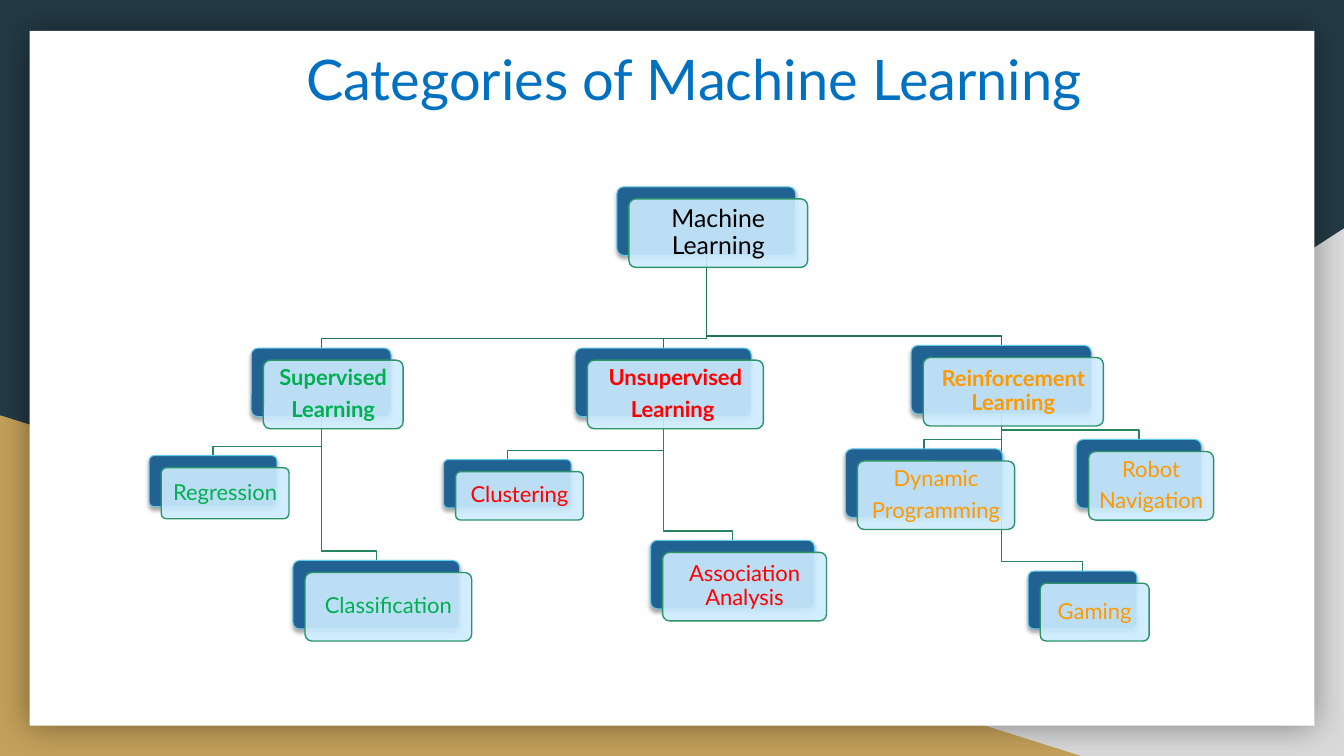
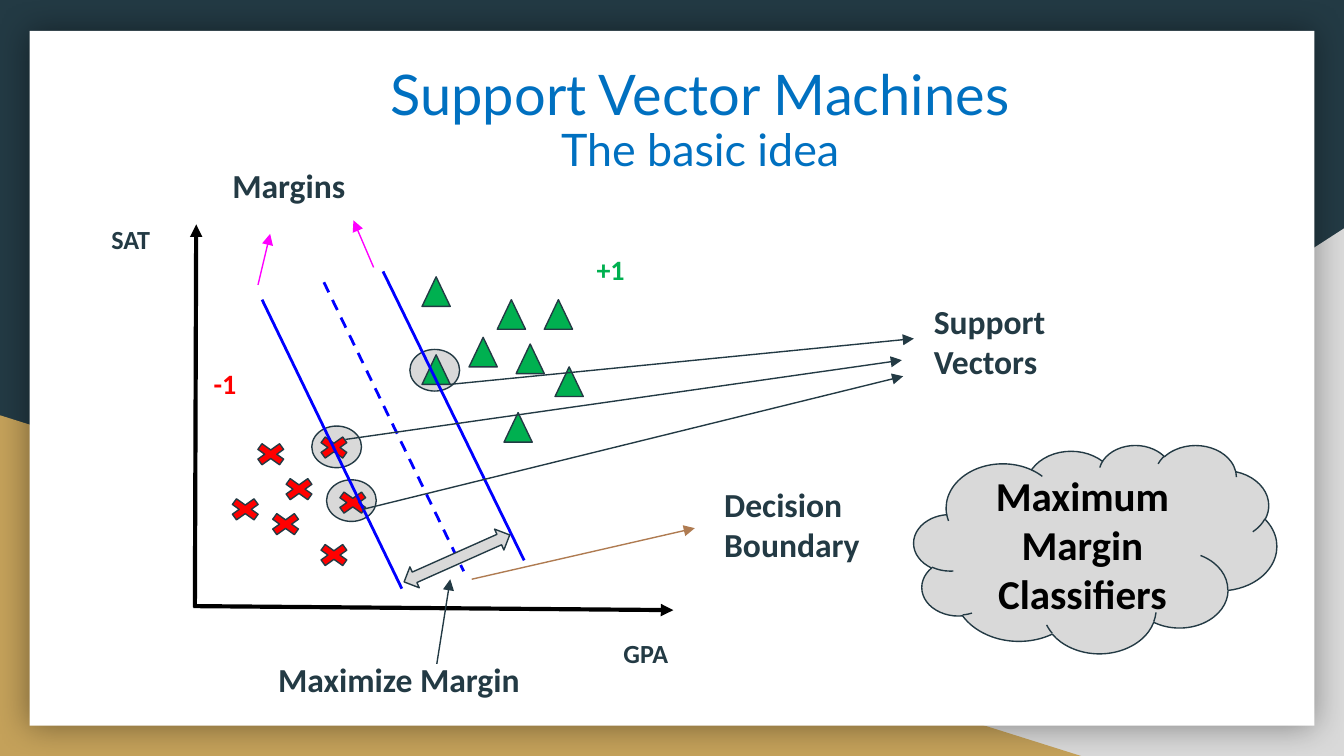
"""Build two machine learning slides: a category tree and the idea of support vector machines."""
from dataclasses import dataclass
from typing import Optional

from lxml.etree import SubElement
from pptx import Presentation
from pptx.dml.color import RGBColor
from pptx.enum.dml import MSO_LINE
from pptx.enum.shapes import MSO_CONNECTOR, MSO_SHAPE as Preset
from pptx.enum.text import MSO_ANCHOR as Anchor, MSO_AUTO_SIZE as AutoSize, PP_ALIGN as Align
from pptx.oxml.ns import qn
from pptx.shapes.autoshape import Shape
from pptx.slide import Slide, SlideMaster
from pptx.text.text import TextFrame
from pptx.util import Cm, Pt

INK = RGBColor(0x23, 0x3A, 0x44)
GREY = RGBColor(0xD9, 0xD9, 0xD9)
GOLD = RGBColor(0xC4, 0xA1, 0x5A)
WHITE = RGBColor(0xFF, 0xFF, 0xFF)
BLACK = RGBColor(0x00, 0x00, 0x00)
TITLE_BLUE = RGBColor(0x00, 0x70, 0xC0)
GREEN = RGBColor(0x00, 0xB0, 0x50)
RED = RGBColor(0xFF, 0x00, 0x00)
ORANGE = RGBColor(0xFF, 0x99, 0x00)
CARD_BLUE = RGBColor(0x22, 0x62, 0x92)
CARD_RIM = RGBColor(0x5F, 0xCB, 0xEF)
PANE = RGBColor(0xCC, 0xEC, 0xFF)
PANE_RIM = RGBColor(0x2B, 0x94, 0x68)
ROOT_BRANCH = RGBColor(0x23, 0x75, 0x52)
BRANCH = RGBColor(0x26, 0x85, 0x5D)
MARGIN_BLUE = RGBColor(0x00, 0x00, 0xFF)
MAGENTA = RGBColor(0xFF, 0x00, 0xFF)
BROWN = RGBColor(0xAF, 0x7B, 0x51)

HEADING_FONT, LABEL_FONT = "Lato", "Calibri"
CM_PER_INCH = 2.54
PANE_SHIFT = 0.09
BRANCH_DROP = 0.07

Box = tuple[float, float, float, float]
Point = tuple[float, float]


@dataclass(frozen=True)
class Category:
    """A card of the tree, with its place in inches."""
    paragraphs: tuple[str, ...]
    box: Box
    colour: RGBColor
    parent: Optional["Category"] = None
    bold: bool = False
    size: float = 11.8

    @property
    def top(self) -> Point:
        """Return the middle of the upper edge."""
        left, top, width, _ = self.box
        return left + width / 2, top

    @property
    def bottom(self) -> Point:
        """Return the middle of the lower edge."""
        return self.top[0], self.box[1] + self.box[3]


@dataclass(frozen=True)
class Stroke:
    """A straight line or arrow."""
    start: Point
    end: Point
    colour: RGBColor = INK
    width: float = 0.75
    arrow: bool = True
    dashed: bool = False


@dataclass(frozen=True)
class Label:
    """A bold caption in the diagram."""
    text: str
    box: Box
    size: float = 18
    colour: RGBColor = INK


ROOT = Category(("Machine Learning",), (4.59, 1.39, 1.33, 0.51), BLACK, size=13.3)
SUPERVISED = Category(("Supervised", "Learning"), (1.87, 2.59, 1.04, 0.51), GREEN, ROOT, True)
UNSUPERVISED = Category(("Unsupervised", "Learning "), (4.28, 2.59, 1.31, 0.51), RED, ROOT, True)
REINFORCEMENT = Category(("Reinforcement Learning",), (6.78, 2.57, 1.34, 0.51), ORANGE, ROOT, True)
CATEGORIES = (
    ROOT,
    SUPERVISED,
    Category(("Regression",), (1.11, 3.39, 0.95, 0.38), GREEN, SUPERVISED),
    Category(("Classification",), (2.18, 4.17, 1.24, 0.51), GREEN, SUPERVISED),
    UNSUPERVISED,
    Category(("Clustering",), (3.3, 3.42, 0.95, 0.36), RED, UNSUPERVISED),
    Category(("Association Analysis",), (4.84, 4.02, 1.22, 0.51), RED, UNSUPERVISED),
    REINFORCEMENT,
    Category(("Dynamic", "Programming"), (6.29, 3.34, 1.17, 0.51), ORANGE, REINFORCEMENT),
    Category(("Gaming",), (7.65, 4.25, 0.81, 0.43), ORANGE, REINFORCEMENT),
    Category(("Robot", "Navigation"), (8.01, 3.27, 0.93, 0.51), ORANGE, REINFORCEMENT),
)

SUPPORT_HALOS = ((2.43, 3.57), (2.32, 3.17), (3.05, 2.6))
NEGATIVES = ((1.67, 3.68), (1.97, 3.79), (2.33, 4.02), (2.07, 3.53),
             (1.86, 3.27), (2.47, 3.63), (2.33, 3.22))
POSITIVES = ((3.14, 2.06), (3.14, 2.64), (3.49, 2.51), (3.75, 3.07),
             (3.84, 2.56), (4.13, 2.73), (3.7, 2.23), (4.05, 2.23))
AXES = (
    Stroke((1.45, 4.52), (1.46, 1.67), BLACK, 2.25),
    Stroke((1.44, 4.51), (5.01, 4.54), BLACK, 2.25),
)
BOUNDARIES = (
    Stroke((1.95, 2.23), (2.99, 4.38), MARGIN_BLUE, 1.5, arrow=False),
    Stroke((2.85, 2.02), (3.9, 4.17), MARGIN_BLUE, 1.5, arrow=False),
    Stroke((2.41, 2.1), (3.45, 4.25), MARGIN_BLUE, 1.5, arrow=False, dashed=True),
)
POINTERS = (
    Stroke((1.92, 2.12), (2.01, 1.74), MAGENTA),
    Stroke((2.78, 1.99), (2.63, 1.64), MAGENTA),
    Stroke((3.51, 4.31), (5.17, 3.93), BROWN),
    Stroke((3.35, 2.86), (6.8, 2.52)),
    Stroke((2.57, 3.27), (6.71, 2.68)),
    Stroke((2.7, 3.79), (6.72, 2.8)),
    Stroke((3.25, 4.94), (3.35, 4.31)),
)
LABELS = (
    Label("GPA", (4.54, 4.64, 0.72, 0.44), 14),
    Label("SAT", (0.73, 1.56, 0.72, 0.44), 14),
    Label("+1", (4.34, 1.78, 0.65, 0.45), 15, GREEN),
    Label("-1", (1.49, 2.63, 0.65, 0.45), 15, RED),
    Label("Margins", (1.63, 1.13, 1.19, 0.5)),
    Label("Decision Boundary", (5.29, 3.5, 2.03, 0.81)),
    Label("Support Vectors", (6.85, 2.14, 1.47, 0.81)),
    Label("Maximize Margin", (1.97, 4.8, 2.28, 0.5)),
)


def length(inches: float) -> Cm:
    """Turn inches into a slide length."""
    return Cm(inches * CM_PER_INCH)


def place(box: Box) -> tuple[Cm, ...]:
    """Turn a box in inches into slide lengths."""
    return tuple(length(side) for side in box)


def set_insets(frame: TextFrame, across: float, down: float) -> None:
    """Set the side and the top and bottom insets in inches."""
    frame.margin_left = frame.margin_right = length(across)
    frame.margin_top = frame.margin_bottom = length(down)


def write(frame: TextFrame, lines: tuple[tuple[str, float], ...], font: str, colour: RGBColor,
          bold: bool = False, align: Align = Align.CENTER, spacing: float = 1.0,
          gap: float = 0) -> None:
    """Write each text and size as a paragraph, with a gap between paragraphs."""
    frame.word_wrap = True
    for index, (text, size) in enumerate(lines):
        paragraph = frame.add_paragraph() if index else frame.paragraphs[0]
        paragraph.alignment = align
        paragraph.line_spacing = spacing
        paragraph.space_before = Pt(gap if index else 0)
        run = paragraph.add_run()
        run.text = text
        run.font.name, run.font.size, run.font.bold = font, Pt(size), bold
        run.font.color.rgb = colour


def add_shape(slide: Slide, preset: Preset, box: Box, fill: RGBColor,
              rim: Optional[RGBColor] = None, width: float = 0.75) -> Shape:
    """Add a flat preset shape."""
    shape = slide.shapes.add_shape(preset, *place(box))
    shape.shadow.inherit = False
    shape.fill.solid()
    shape.fill.fore_color.rgb = fill
    if rim is None:
        shape.line.fill.background()
    else:
        shape.line.color.rgb = rim
        shape.line.width = Pt(width)
    return shape


def add_alpha(colour_parent, percent: int) -> None:
    """Make the colour inside an element partly transparent."""
    colour = next(colour_parent.iter(qn("a:srgbClr")))
    SubElement(colour, qn("a:alpha"), val=str(percent * 1000))


def cast_shadow(shape: Shape, percent: int, blur: float, distance: float, angle: int) -> None:
    """Give a shape a black outer shadow."""
    effects = shape.element.spPr.find(qn("a:effectLst"))
    shadow = SubElement(effects, qn("a:outerShdw"), blurRad=str(Pt(blur)), dist=str(Pt(distance)),
                        dir=str(angle * 60000), algn="ctr", rotWithShape="0")
    SubElement(shadow, qn("a:srgbClr"), val=str(BLACK))
    add_alpha(shadow, percent)


def dress_master(master: SlideMaster, slide: Slide) -> None:
    """Draw the shared backdrop on a slide and move it to the master."""
    master.background.fill.solid()
    master.background.fill.fore_color.rgb = INK
    grey_corner = add_shape(slide, Preset.RIGHT_TRIANGLE, (3.92, 1.7, 6.08, 3.93), GREY)
    grey_corner.element.spPr.get_or_add_xfrm().set("flipH", "1")
    gold_corner = add_shape(slide, Preset.RIGHT_TRIANGLE, (0, 3.09, 8.06, 2.54), GOLD)
    sheet = add_shape(slide, Preset.RECTANGLE, (0.22, 0.23, 9.56, 5.17), WHITE)
    cast_shadow(sheet, 40, 18, 0, 0)
    for index, part in enumerate((grey_corner, gold_corner, sheet)):
        part.element.nvSpPr.cNvPr.set("id", str(100 + index))
        master.shapes.element.insert(2 + index, part.element)


def set_title(slide: Slide, box: Box, *lines: tuple[str, float]) -> None:
    """Move, format and fill the title placeholder."""
    title = slide.shapes.title
    title.left, title.top, title.width, title.height = place(box)
    frame = title.text_frame
    frame.auto_size = AutoSize.NONE
    frame.vertical_anchor = Anchor.BOTTOM
    set_insets(frame, 0.1, 0.05)
    write(frame, lines, HEADING_FONT, TITLE_BLUE, spacing=0.9)


def add_branch(slide: Slide, child: Category) -> None:
    """Draw the elbow from a parent card to its child."""
    start, end = child.parent.bottom, child.top
    bend = end[1] - BRANCH_DROP
    corners = [(length(x), length(y)) for x, y in (start, (start[0], bend), (end[0], bend), end)]
    builder = slide.shapes.build_freeform(*corners[0], scale=1.0)
    builder.add_line_segments(corners[1:], close=False)
    elbow = builder.convert_to_shape()
    elbow.shadow.inherit = False
    elbow.fill.background()
    elbow.line.color.rgb = ROOT_BRANCH if child.parent is ROOT else BRANCH
    elbow.line.width = Pt(0.75)


def add_card(slide: Slide, category: Category) -> None:
    """Draw a dark card with a pale pane and its name."""
    left, top, width, height = category.box
    card = add_shape(slide, Preset.ROUNDED_RECTANGLE, category.box, CARD_BLUE, CARD_RIM, 0.55)
    cast_shadow(card, 35, 2.2, 1.5, 90)
    pane = add_shape(slide, Preset.ROUNDED_RECTANGLE,
                     (left + PANE_SHIFT, top + PANE_SHIFT, width, height), PANE, PANE_RIM)
    add_alpha(pane.element.spPr.find(qn("a:solidFill")), 90)
    for shape in (card, pane):
        shape.adjustments[0] = 0.1
    set_insets(pane.text_frame, 0.05, 0.05)
    pane.text_frame.vertical_anchor = Anchor.MIDDLE
    write(pane.text_frame, tuple((text, category.size) for text in category.paragraphs),
          HEADING_FONT, category.colour, category.bold, spacing=0.9, gap=4.1)


def add_stroke(slide: Slide, stroke: Stroke) -> None:
    """Draw a straight line or arrow."""
    connector = slide.shapes.add_connector(MSO_CONNECTOR.STRAIGHT, *place(stroke.start + stroke.end))
    connector.line.color.rgb = stroke.colour
    connector.line.width = Pt(stroke.width)
    if stroke.dashed:
        connector.line.dash_style = MSO_LINE.DASH
    properties = connector.element.spPr
    if stroke.arrow:
        SubElement(properties.find(qn("a:ln")), qn("a:tailEnd"), type="triangle")
    SubElement(properties, qn("a:effectLst"))


def add_label(slide: Slide, label: Label) -> None:
    """Add a bold caption."""
    frame = slide.shapes.add_textbox(*place(label.box)).text_frame
    frame.auto_size = AutoSize.SHAPE_TO_FIT_TEXT
    set_insets(frame, 0.1, 0.1)
    write(frame, ((label.text, label.size),), LABEL_FONT, label.colour, True, Align.LEFT)


def build_categories(slide: Slide) -> None:
    """Build the tree of learning categories."""
    set_title(slide, (2.11, 0.31, 6.11, 0.58), ("Categories of Machine Learning", 30))
    for category in CATEGORIES:
        if category.parent:
            add_branch(slide, category)
    for category in CATEGORIES:
        add_card(slide, category)


def build_support_vectors(slide: Slide) -> None:
    """Build the support vector machine diagram."""
    set_title(slide, (2.11, 0.31, 6.2, 1.05), ("Support Vector Machines", 30), ("The basic idea", 24))
    for preset, spots, size, fill in (
        (Preset.OVAL, SUPPORT_HALOS, (0.37, 0.31), GREY),
        (Preset.MATH_MULTIPLY, NEGATIVES, (0.31, 0.22), RED),
        (Preset.ISOSCELES_TRIANGLE, POSITIVES, (0.21, 0.22), GREEN),
    ):
        for spot in spots:
            add_shape(slide, preset, spot + size, fill, INK)
    for stroke in AXES + BOUNDARIES:
        add_stroke(slide, stroke)
    margin_width = add_shape(slide, Preset.LEFT_RIGHT_ARROW, (2.97, 4.07, 0.86, 0.17), GREY, INK)
    margin_width.rotation = 336
    for pointer in POINTERS:
        add_stroke(slide, pointer)
    for label in LABELS:
        add_label(slide, label)
    summary = add_shape(slide, Preset.CLOUD, (6.8, 3.31, 2.7, 1.55), GREY, INK).text_frame
    set_insets(summary, 0.1, 0.1)
    summary.vertical_anchor = Anchor.MIDDLE
    write(summary, (("Maximum Margin Classifiers", 22),), LABEL_FONT, BLACK, True)


def main() -> None:
    """Build and save the presentation."""
    deck = Presentation()
    deck.slide_width = Cm(25.4)
    deck.slide_height = deck.slide_width * 9 // 16
    title_only = deck.slide_layouts[5]
    categories, support_vectors = (deck.slides.add_slide(title_only) for _ in range(2))
    dress_master(deck.slide_master, categories)
    build_categories(categories)
    build_support_vectors(support_vectors)
    deck.save("out.pptx")


if __name__ == "__main__":
    main()
